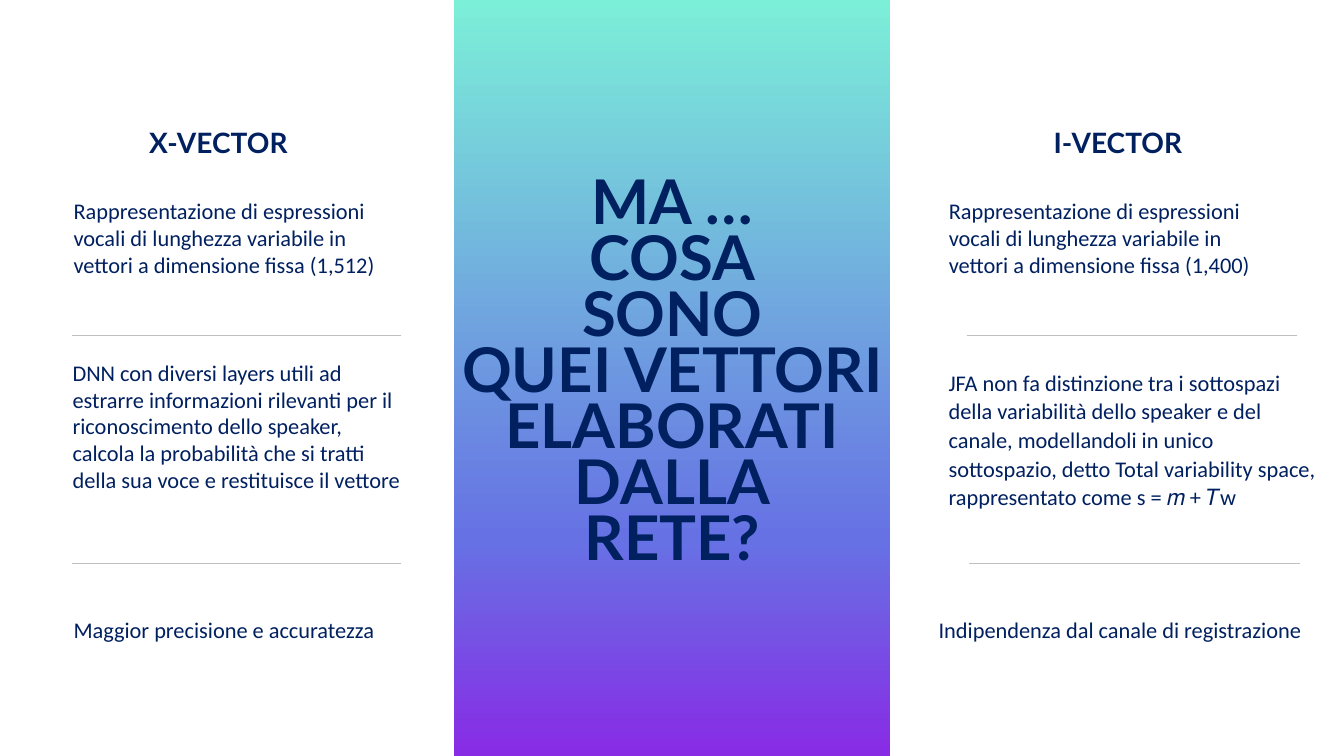
"""Build the slide comparing x-vector and i-vector speaker embeddings."""
from copy import deepcopy
from typing import NamedTuple

from lxml import etree
from pptx import Presentation
from pptx.dml.color import RGBColor
from pptx.enum.shapes import MSO_CONNECTOR, MSO_SHAPE
from pptx.enum.text import MSO_ANCHOR, MSO_AUTO_SIZE, PP_ALIGN
from pptx.oxml.ns import qn
from pptx.util import Emu, Pt

STRAIGHT = MSO_CONNECTOR.STRAIGHT
RECTANGLE = MSO_SHAPE.RECTANGLE
TOP = MSO_ANCHOR.TOP
NO_AUTOFIT = MSO_AUTO_SIZE.NONE
CENTER = PP_ALIGN.CENTER
LEFT = PP_ALIGN.LEFT

NAVY = RGBColor(0x00, 0x20, 0x60)
RULE_GREY = RGBColor(0xBF, 0xBF, 0xBF)
MINT = RGBColor(0x7C, 0xEF, 0xD8)
PERIWINKLE = RGBColor(0x66, 0x72, 0xE4)
VIOLET = RGBColor(0x88, 0x2B, 0xE5)

EMU_PER_PX = 9144
PAGE_WIDTH, PAGE_HEIGHT = 1333, 750
TITLE_ONLY = 5


class TextStyle(NamedTuple):
    font: str
    size: int
    bold: bool = False
    align: PP_ALIGN = LEFT
    line_spacing: float | Pt | None = None
    space_after: int = 0
    inset_x: int = 0
    inset_y: int = 0


class TextItem(NamedTuple):
    left: int
    top: int
    width: int
    height: int
    style: TextStyle
    lines: tuple[str, ...]


class Rule(NamedTuple):
    left: int
    top: int
    width: int


class GradientStop(NamedTuple):
    position: float
    color: RGBColor


TITLE_STYLE = TextStyle("Lato", 44, True, CENTER, Pt(40))
HEADING = TextStyle("Lato", 20, True)
BODY = TextStyle("Calibri", 16)
SPACED_BODY = TextStyle("Calibri", 16, line_spacing=1.07, space_after=8, inset_x=10, inset_y=5)

TITLE = TextItem(444, 179, 446, 393, TITLE_STYLE, (
    "MA …", "COSA", "SONO", "QUEI VETTORI", "ELABORATI", "DALLA", "RETE?"))

TEXTS = (
    TextItem(148, 125, 288, 34, HEADING, ("X-VECTOR",)),
    TextItem(73, 196, 325, 81, BODY, (
        "Rappresentazione di espressioni vocali di lunghezza variabile in "
        "vettori a dimensione fissa (1,512)",)),
    TextItem(72, 356, 325, 162, BODY, (
        "DNN con diversi layers utili ad estrarre informazioni rilevanti "
        "per il riconoscimento dello speaker,",
        "calcola la probabilità che si tratti della sua voce e restituisce il vettore")),
    TextItem(73, 611, 325, 27, BODY, ("Maggior precisione e accuratezza",)),
    TextItem(1045, 125, 288, 34, HEADING, ("I-VECTOR",)),
    TextItem(941, 196, 325, 81, BODY, (
        "Rappresentazione di espressioni vocali di lunghezza variabile in "
        "vettori a dimensione fissa (1,400)",)),
    TextItem(931, 359, 385, 153, SPACED_BODY, (
        "JFA non fa distinzione tra i sottospazi della variabilità dello "
        "speaker e del canale, modellandoli in unico sottospazio, detto "
        "Total variability space, rappresentato come s = 𝑚 + 𝑇w",)),
    TextItem(931, 611, 393, 27, BODY, ("Indipendenza dal canale di registrazione",)),
)

RULES = (Rule(71, 333, 327), Rule(71, 559, 327), Rule(959, 333, 327), Rule(961, 559, 328))

PANEL_STOPS = (GradientStop(0, MINT), GradientStop(0.71, PERIWINKLE), GradientStop(1, VIOLET))


def px(length: int) -> Emu:
    """Turn a length in px into EMU."""
    return Emu(length * EMU_PER_PX)


def write_text(box, item: TextItem) -> None:
    """Fill a text box or placeholder with the lines of an item."""
    style = item.style
    frame = box.text_frame
    frame.word_wrap = True
    frame.auto_size = NO_AUTOFIT
    frame.vertical_anchor = TOP
    frame.margin_left = frame.margin_right = px(style.inset_x)
    frame.margin_top = frame.margin_bottom = px(style.inset_y)
    for index, line in enumerate(item.lines):
        para = frame.add_paragraph() if index else frame.paragraphs[0]
        para.alignment = style.align
        para.line_spacing = style.line_spacing
        para.space_before = Pt(0)
        para.space_after = Pt(style.space_after)
        span = para.add_run()
        span.text = line
        span.font.name = style.font
        span.font.size = Pt(style.size)
        span.font.bold = style.bold
        span.font.color.rgb = NAVY


def add_title(page, item: TextItem) -> None:
    """Move the title placeholder into place and fill it."""
    title = page.shapes.title
    title.left, title.top = px(item.left), px(item.top)
    title.width, title.height = px(item.width), px(item.height)
    write_text(title, item)


def add_text(page, item: TextItem) -> None:
    """Add a text box."""
    box = page.shapes.add_textbox(
        px(item.left), px(item.top), px(item.width), px(item.height))
    write_text(box, item)


def add_rule(page, rule: Rule) -> None:
    """Add a thin horizontal separator."""
    line = page.shapes.add_connector(
        STRAIGHT, px(rule.left), px(rule.top), px(rule.left + rule.width), px(rule.top))
    line.line.color.rgb = RULE_GREY
    line.line.width = Pt(0.5)
    etree.SubElement(line.element.spPr, qn("a:effectLst"))


def add_panel(page) -> None:
    """Add the vertical gradient panel behind the title."""
    panel = page.shapes.add_shape(RECTANGLE, px(450), px(0), px(433), px(PAGE_HEIGHT))
    panel.shadow.inherit = False
    panel.line.fill.background()
    panel.fill.gradient()
    panel.fill.gradient_angle = 270
    stop_list = panel.element.spPr.find(".//" + qn("a:gsLst"))
    stop_list.append(deepcopy(stop_list[0]))
    for stop, wanted in zip(panel.fill.gradient_stops, PANEL_STOPS):
        stop.position = wanted.position
        stop.color.rgb = wanted.color
    page.shapes.title.element.addprevious(panel.element)


def main() -> None:
    """Build and save the deck."""
    deck = Presentation()
    deck.slide_width, deck.slide_height = px(PAGE_WIDTH), px(PAGE_HEIGHT)
    page = deck.slides.add_slide(deck.slide_layouts[TITLE_ONLY])
    add_panel(page)
    add_title(page, TITLE)
    for item in TEXTS:
        add_text(page, item)
    for rule in RULES:
        add_rule(page, rule)
    deck.save("out.pptx")


if __name__ == "__main__":
    main()
